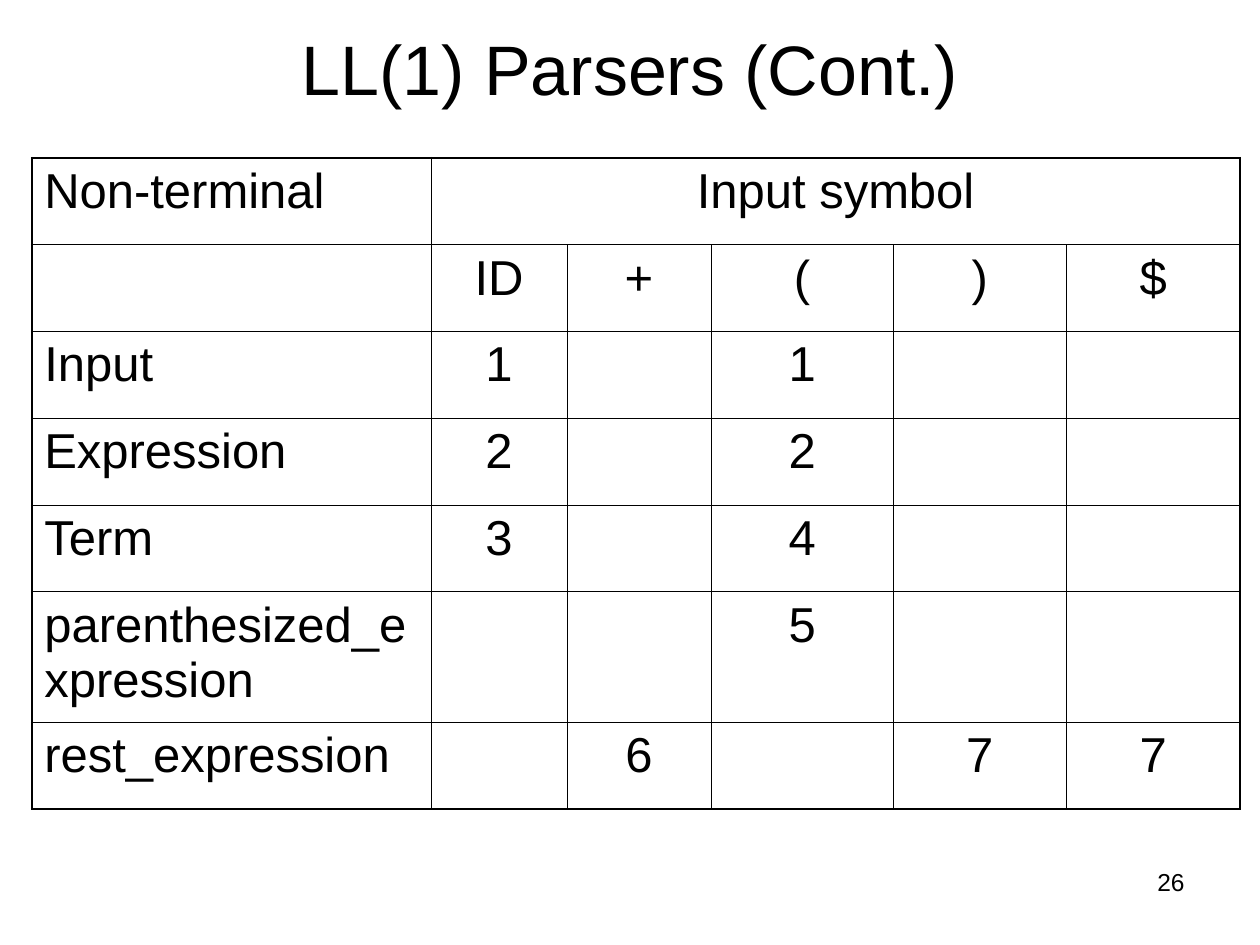
from dataclasses import dataclass

from lxml import etree
from pptx import Presentation
from pptx.dml.color import RGBColor
from pptx.enum.text import MSO_ANCHOR, MSO_AUTO_SIZE, PP_ALIGN
from pptx.oxml.ns import qn
from pptx.util import Cm, Pt

LEFT, CENTER, RIGHT = PP_ALIGN.LEFT, PP_ALIGN.CENTER, PP_ALIGN.RIGHT
BOTTOM, TOP = MSO_ANCHOR.BOTTOM, MSO_ANCHOR.TOP
TITLE_ONLY = 5


@dataclass(frozen=True)
class Theme:
    font: str = "Arial"
    ink: str = "000000"
    paper: str = "FFFFFF"
    title: int = 40
    body: int = 28
    number: int = 14
    inner_line: float = 0.45
    outer_line: float = 1.08


THEME = Theme()

# Column widths and row heights in cm
COLS = [8.05, 2.74, 2.9, 3.68, 3.48, 3.51]
ROWS = [1.75] * 5 + [2.62, 1.75]

PARSE_TABLE = [
    ["Non-terminal", "Input symbol", "", "", "", ""],
    ["", "ID", "+", "(", ")", "$"],
    ["Input", "1", "", "1", "", ""],
    ["Expression", "2", "", "2", "", ""],
    ["Term", "3", "", "4", "", ""],
    ["parenthesized_expression", "", "", "5", "", ""],
    ["rest_expression", "", "6", "", "7", "7"],
]


def write(tf, text, size=THEME.body, align=LEFT, anchor=TOP):
    tf.word_wrap = True
    tf.vertical_anchor = anchor
    p = tf.paragraphs[0]
    p.alignment = align
    r = p.add_run()
    r.text = text
    r.font.size = Pt(size)
    r.font.name = THEME.font
    r.font.color.rgb = RGBColor.from_string(THEME.ink)


def set_borders(cell, outer_sides):
    tcPr = cell._tc.get_or_add_tcPr()
    for side in "LRTB":
        width = THEME.outer_line if side in outer_sides else THEME.inner_line
        ln = etree.SubElement(tcPr, qn(f"a:ln{side}"), w=str(Pt(width)))
        fill = etree.SubElement(ln, qn("a:solidFill"))
        etree.SubElement(fill, qn("a:srgbClr"), val=THEME.ink)


def add_title(s, text, x, y, w, h):
    sp = s.shapes.title
    sp.left, sp.top, sp.width, sp.height = Cm(x), Cm(y), Cm(w), Cm(h)
    write(sp.text_frame, text, size=THEME.title, align=CENTER, anchor=BOTTOM)
    sp.text_frame.auto_size = MSO_AUTO_SIZE.NONE


def add_parse_table(s, data, x, y):
    frame = s.shapes.add_table(len(ROWS), len(COLS), Cm(x), Cm(y),
                               Cm(sum(COLS)), Cm(sum(ROWS)))
    table = frame.table
    table.first_row = table.horz_banding = False
    for col, width in zip(table.columns, COLS):
        col.width = Cm(width)
    for row, height in zip(table.rows, ROWS):
        row.height = Cm(height)

    # The heading spans all the input symbols
    last_row, last_col = len(ROWS) - 1, len(COLS) - 1
    table.cell(0, 1).merge(table.cell(0, last_col))

    for i, line in enumerate(data):
        for j, text in enumerate(line):
            cell = table.cell(i, j)
            right = j + cell.span_width - 1 if cell.is_merge_origin else j
            edges = {"L": j == 0, "R": right == last_col,
                     "T": i == 0, "B": i == last_row}
            set_borders(cell, [side for side, outer in edges.items() if outer])
            cell.fill.background()
            if text:
                write(cell.text_frame, text, align=CENTER if j else LEFT)


def add_page_number(s, number, x, y, w, h):
    sp = s.shapes.add_textbox(Cm(x), Cm(y), Cm(w), Cm(h))
    write(sp.text_frame, number, size=THEME.number, align=RIGHT)


def main():
    prs = Presentation()
    prs.slide_width, prs.slide_height = Cm(25.4), Cm(19.05)
    s = prs.slides.add_slide(prs.slide_layouts[TITLE_ONLY])
    s.background.fill.solid()
    s.background.fill.fore_color.rgb = RGBColor.from_string(THEME.paper)

    add_page_number(s, "26", 18.2, 17.35, 5.93, 1.32)
    add_title(s, "LL(1) Parsers (Cont.)", 1.27, 0.76, 22.86, 1.57)
    add_parse_table(s, PARSE_TABLE, 0.64, 3.18)
    prs.save("out.pptx")


if __name__ == "__main__":
    main()
